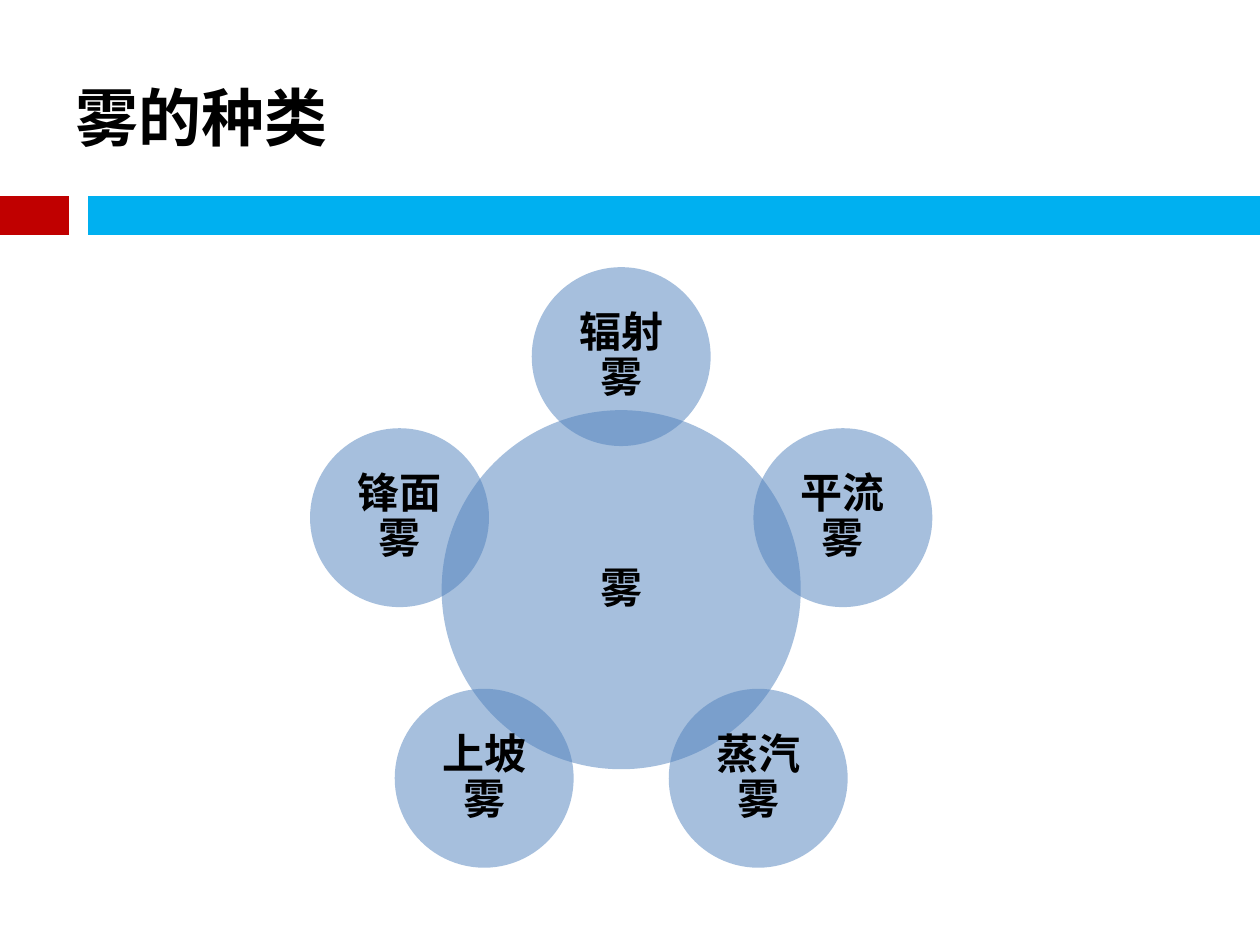
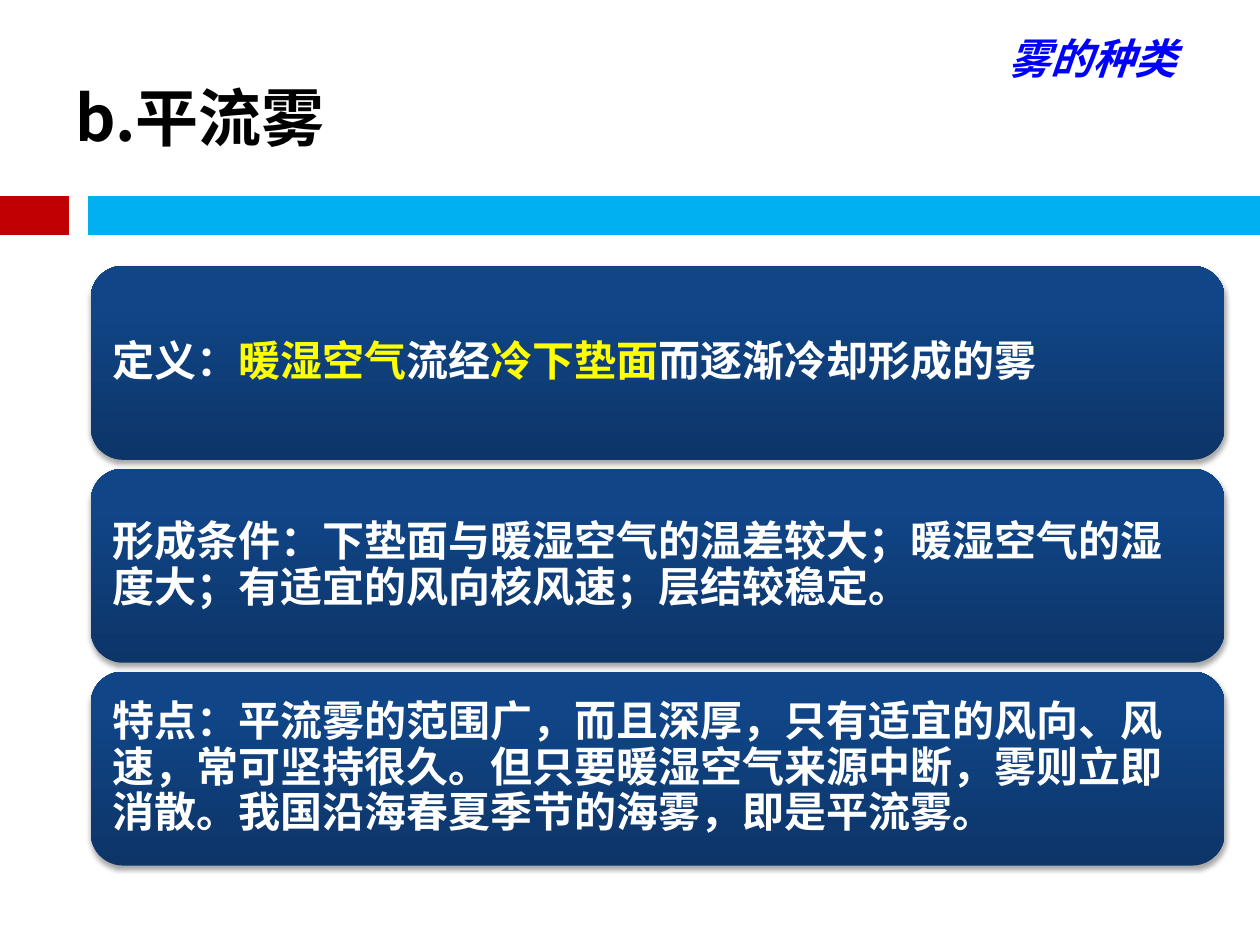
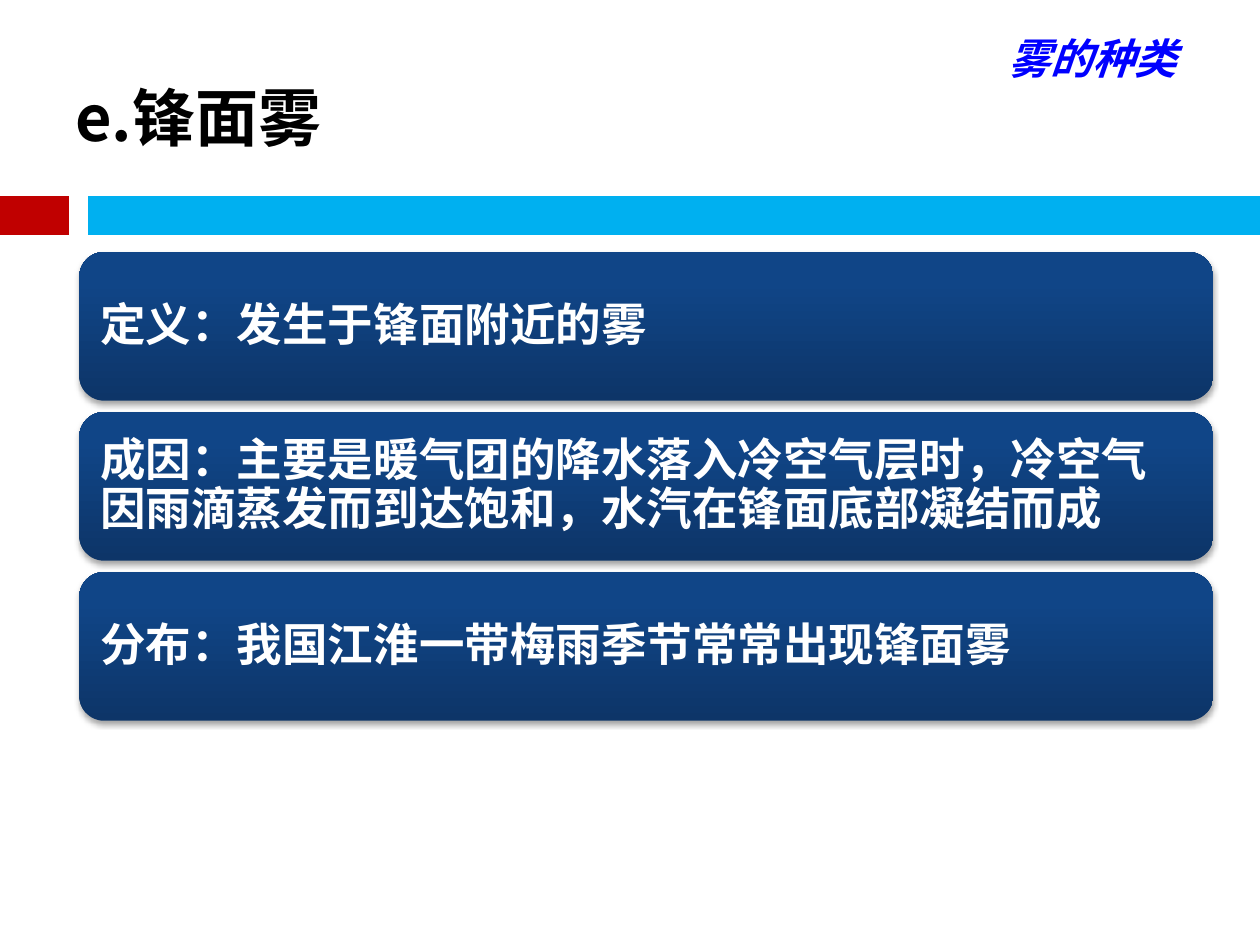
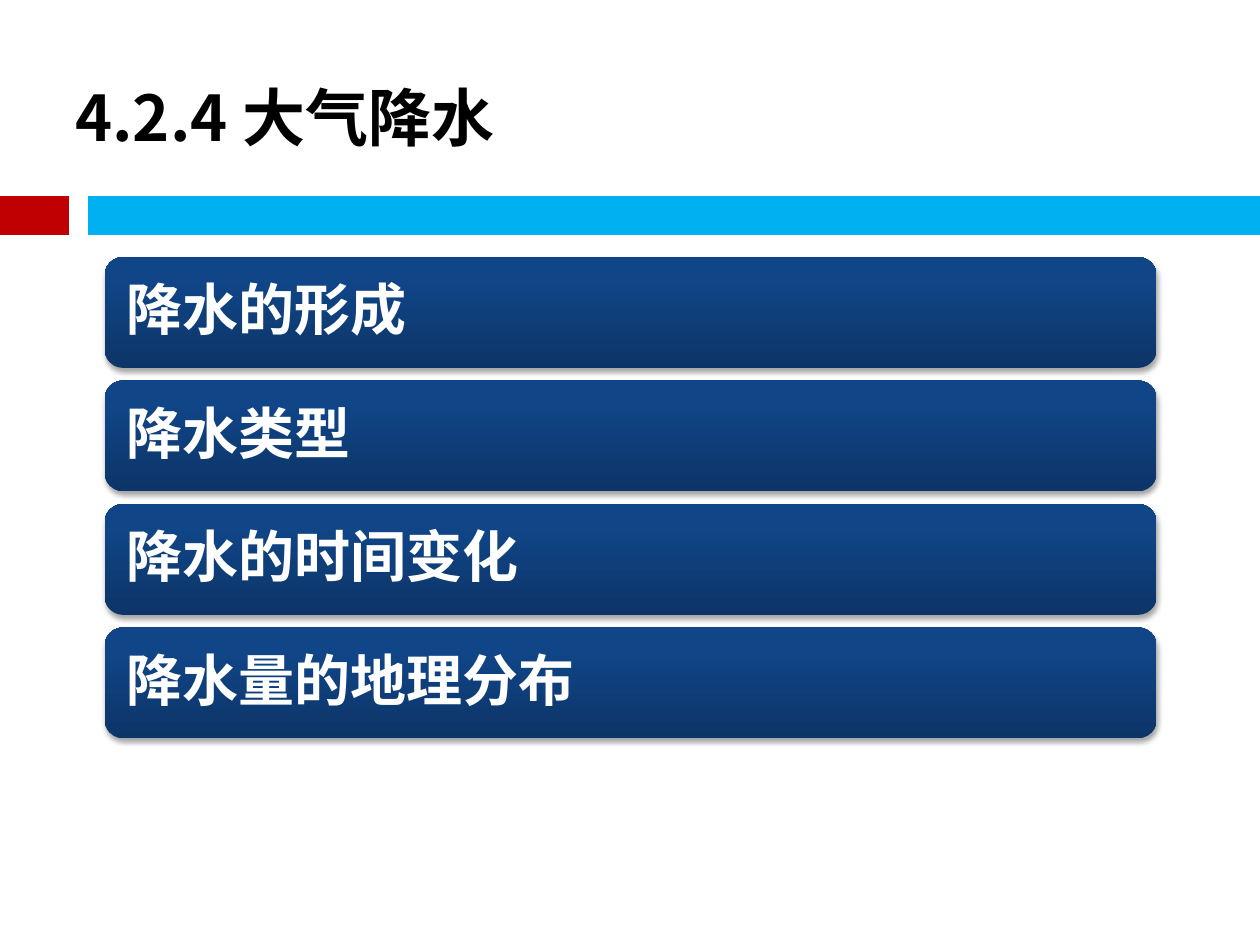
from dataclasses import dataclass
from math import cos, radians, sin

from lxml.etree import SubElement
from pptx import Presentation
from pptx.dml.color import RGBColor
from pptx.enum.shapes import MSO_CONNECTOR as Connector, MSO_SHAPE as Shape
from pptx.enum.text import MSO_ANCHOR as Anchor, PP_ALIGN as Align
from pptx.oxml import parse_xml
from pptx.oxml.ns import nsdecls, qn
from pptx.util import Inches, Pt


@dataclass(frozen=True)
class Theme:
    black: str = "000000"
    white: str = "FFFFFF"
    red: str = "C00000"
    sky: str = "00B0F0"
    circle: str = "4F81BD"
    label: str = "0000FF"
    highlight: str = "FFFF00"
    panel_stops: tuple = ((0, "0D3568"), (80, "104587"), (100, "0E458A"))
    title_font: str = "Noto Sans CJK SC"
    body_font: str = "Calibri"
    label_font: str = "Arial"
    title_size: int = 36
    body_size: int = 24
    wide_size: int = 26
    list_size: int = 32
    band_width: int = 22


theme = Theme()


def write(shape, spans, font, size, color, inset=None, align=Align.LEFT):
    """Write one bold paragraph; spans are (text, colour or None) pairs."""
    frame = shape.text_frame
    frame.word_wrap = True
    if inset is not None:
        frame.margin_left = frame.margin_right = Inches(inset)
        frame.margin_top = frame.margin_bottom = Inches(inset)
    para = frame.paragraphs[0]
    para.alignment = align
    para.font.name, para.font.size, para.font.bold = font, Pt(size), True
    para.font.color.rgb = RGBColor.from_string(color)
    latin = para._p.find(".//" + qn("a:latin"))
    latin.addnext(parse_xml(f'<a:ea {nsdecls("a")} typeface="{theme.title_font}"/>'))
    for text, span_color in spans:
        span = para.add_run()
        span.text = text
        if span_color:
            span.font.color.rgb = RGBColor.from_string(span_color)
    return para


def add_node(page, kind, left, top, width, height, spans, size, color, inset, align):
    """Add a borderless diagram shape with tightly set text."""
    node = page.shapes.add_shape(kind, Inches(left), Inches(top), Inches(width), Inches(height))
    node.shadow.inherit = False
    node.line.fill.background()
    node.text_frame.vertical_anchor = Anchor.MIDDLE
    para = write(node, spans, theme.body_font, size, color, inset, align)
    para.line_spacing = 0.9
    para.space_after = Pt(size * 0.35)
    return node


deck = Presentation()
deck.slide_width, deck.slide_height = Inches(10), Inches(7.5)

# Shared frame: bands, title and corner label
pages = []
for title, label in [
    ("雾的种类", None),
    ("b.平流雾", "雾的种类"),
    ("e.锋面雾", "雾的种类"),
    ("4.2.4 大气降水", None),
]:
    page = deck.slides.add_slide(deck.slide_layouts[6])
    pages.append(page)
    for start, end, color in [(0, 0.55, theme.red), (0.7, 10, theme.sky)]:
        band = page.shapes.add_connector(
            Connector.STRAIGHT, Inches(start), Inches(1.71), Inches(end), Inches(1.71))
        band.line.color.rgb = RGBColor.from_string(color)
        band.line.width = Pt(theme.band_width)
        SubElement(band._element.spPr, qn("a:effectLst"))
    box = page.shapes.add_textbox(Inches(0.5), Inches(0.3), Inches(9), Inches(1.25))
    box.text_frame.vertical_anchor = Anchor.MIDDLE
    write(box, [(title, None)], theme.title_font, theme.title_size, theme.black)
    if label:
        box = page.shapes.add_textbox(Inches(7.91), Inches(0.21), Inches(1.84), Inches(0.5))
        para = write(box, [(label, None)], theme.label_font, theme.body_size, theme.label)
        para.font.italic = True

# Slide 1: fog types on a ring around the central circle
center_x, center_y, ring = 4.93, 4.68, 1.85
circles = [("雾", center_x, center_y, 2.85)]
for index, fog in enumerate(["辐射雾", "平流雾", "蒸汽雾", "上坡雾", "锋面雾"]):
    angle = radians(72 * index)
    circles.append((fog, center_x + ring * sin(angle), center_y - ring * cos(angle), 1.42))
for fog, x, y, size in circles:
    circle = add_node(pages[0], Shape.OVAL, x - size / 2, y - size / 2, size, size,
                      [(fog, None)], theme.body_size, theme.black, 0.03, Align.CENTER)
    circle.fill.solid()
    circle.fill.fore_color.rgb = RGBColor.from_string(theme.circle)
    fill_color = circle._element.spPr.find(qn("a:solidFill"))[0]
    SubElement(fill_color, qn("a:alpha"), val="50000")

# Slides 2 to 4: stacked panels
definition = [
    ("定义：", None), ("暖湿空气", theme.highlight), ("流经", None),
    ("冷下垫面", theme.highlight), ("而逐渐冷却形成的雾", None),
]
advection = [
    definition,
    [("形成条件：下垫面与暖湿空气的温差较大；暖湿空气的湿度大；有适宜的风向核风速；层结较稳定。", None)],
    [("特点：平流雾的范围广，而且深厚，只有适宜的风向、风速，常可坚持很久。但只要暖湿空气来源中断，"
      "雾则立即消散。我国沿海春夏季节的海雾，即是平流雾。", None)],
]
frontal = [
    [("定义：发生于锋面附近的雾", None)],
    [("成因：主要是暖气团的降水落入冷空气层时，冷空气因雨滴蒸发而到达饱和，水汽在锋面底部凝结而成", None)],
    [("分布：我国江淮一带梅雨季节常常出现锋面雾", None)],
]
rainfall = [[(topic, None)] for topic in
            ["降水的形成", "降水类型", "降水的时间变化", "降水量的地理分布"]]

stops = "".join(f'<a:gs pos="{position * 1000}"><a:srgbClr val="{color}"/></a:gs>'
                for position, color in theme.panel_stops)
gradient = (f'<a:gradFill {nsdecls("a")} rotWithShape="1"><a:gsLst>{stops}</a:gsLst>'
            '<a:lin ang="16200000" scaled="0"/></a:gradFill>')
shadow = (f'<a:outerShdw {nsdecls("a")} blurRad="{Pt(3.1)}" dist="{Pt(1.8)}" dir="5400000" '
          f'rotWithShape="0"><a:srgbClr val="{theme.black}"><a:alpha val="35000"/>'
          '</a:srgbClr></a:outerShdw>')

for page, panels, left, top, width, height, pitch, size, inset in [
    (pages[1], advection, 0.72, 2.11, 9, 1.54, 1.61, theme.body_size, 0.1),
    (pages[2], frontal, 0.63, 2, 9, 1.18, 1.27, theme.wide_size, 0.11),
    (pages[3], rainfall, 0.83, 2.04, 8.35, 0.88, 0.98, theme.list_size, 0.13),
]:
    for row, spans in enumerate(panels):
        panel = add_node(page, Shape.ROUNDED_RECTANGLE, left, top + row * pitch, width, height,
                         spans, size, theme.white, inset, Align.LEFT)
        properties = panel._element.spPr
        properties.find(qn("a:ln")).addprevious(parse_xml(gradient))
        properties.find(qn("a:effectLst")).append(parse_xml(shadow))

deck.save("out.pptx")
